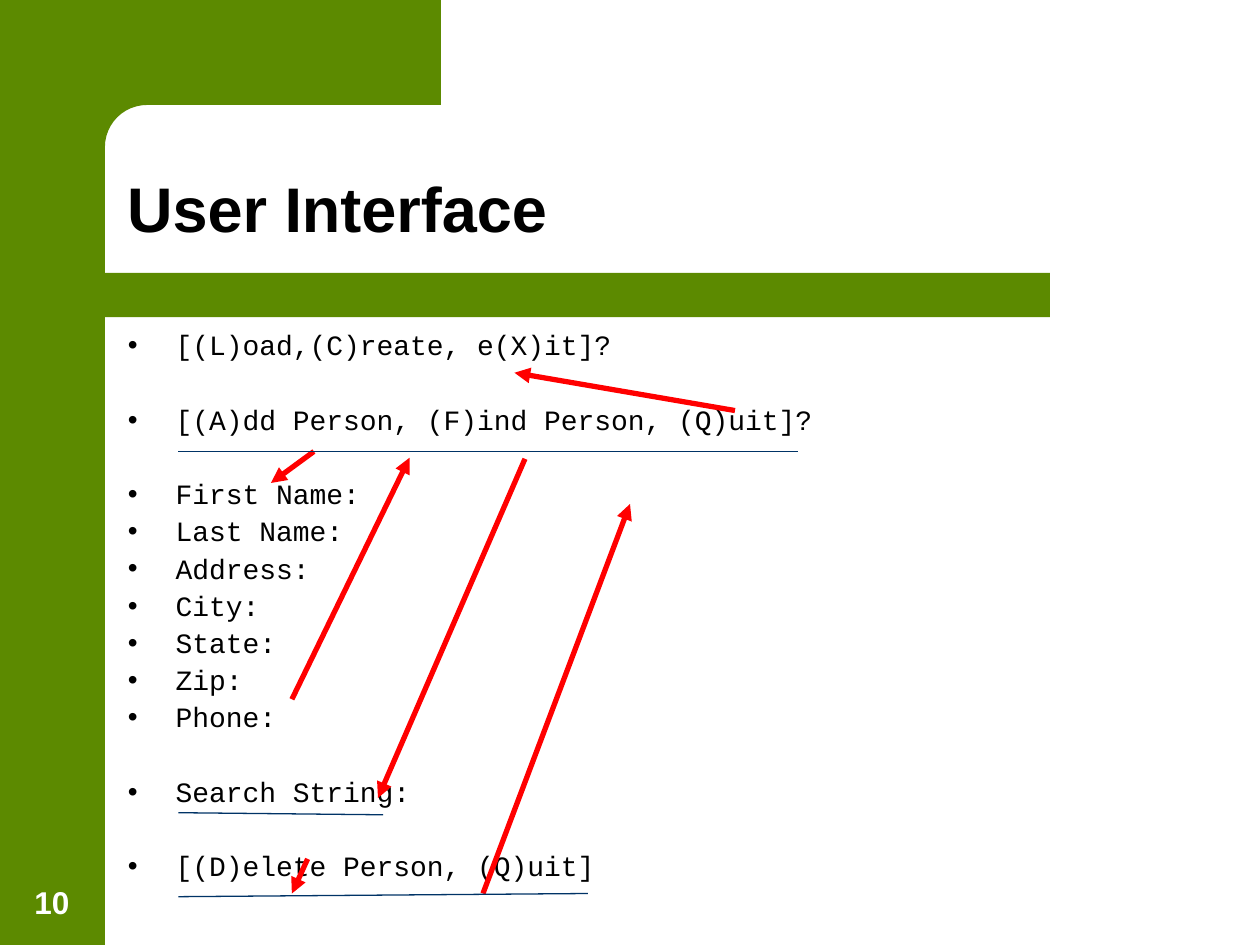
from math import cos, pi, sin

from lxml.etree import SubElement
from pptx import Presentation
from pptx.dml.color import RGBColor
from pptx.enum.shapes import MSO_CONNECTOR, MSO_SHAPE
from pptx.enum.text import MSO_ANCHOR, MSO_AUTO_SIZE, PP_ALIGN
from pptx.oxml.ns import qn
from pptx.util import Inches, Pt

COLORS = {"green": "5C8A00", "black": "000000", "white": "FFFFFF",
          "red": "FF0000", "navy": "003366"}
CELL = Inches(1) / 12  # the slide is a grid of 120 columns by 90 rows


def grid(*cells):
    return [round(c * CELL) for c in cells]


def style(r, size, color, font="Arial", bold=False):
    r.font.name, r.font.size, r.font.bold = font, Pt(size), bold
    r.font.color.rgb = RGBColor.from_string(COLORS[color])


prs = Presentation()
prs.slide_width, prs.slide_height = grid(120, 90)
s = prs.slides.add_slide(prs.slide_layouts[5])

# Green frame: sidebar, title bar, and top block with a rounded inner corner
bands = [s.shapes.add_shape(MSO_SHAPE.RECTANGLE, *grid(*box))
         for box in [(0, 0, 10, 90), (8, 26, 92, 4.2)]]
radius, steps = 4, 12
arc = [(10 + radius * (1 - cos(a)), 10 + radius * (1 - sin(a)))
       for a in (pi / 2 * (1 - i / steps) for i in range(steps + 1))]
outline = [grid(*point) for point in [(42, 0), (42, 10), *arc, (6, 14), (6, 0)]]
builder = s.shapes.build_freeform(*outline[0])
builder.add_line_segments(outline[1:], close=True)
for sp in [*bands, builder.convert_to_shape()]:
    sp.shadow.inherit = False
    sp.fill.solid()
    sp.fill.fore_color.rgb = RGBColor.from_string(COLORS["green"])
    sp.line.fill.background()

# Title
title = s.shapes.title
title.left, title.top, title.width, title.height = grid(10.9, 10.9, 102.1, 13.1)
tf = title.text_frame
tf.auto_size = MSO_AUTO_SIZE.NONE
tf.vertical_anchor = MSO_ANCHOR.BOTTOM
p = tf.paragraphs[0]
p.alignment, p.line_spacing = PP_ALIGN.LEFT, 0.9
r = p.add_run()
r.text = "User Interface"
style(r, 36, "black", bold=True)

# Prompts, in groups set apart by one line
groups = [
    ["[(L)oad,(C)reate, e(X)it]?"],
    ["[(A)dd Person, (F)ind Person, (Q)uit]?"],
    ["First Name:", "Last Name:", "Address:", "City:", "State:", "Zip:", "Phone:"],
    ["Search String:"],
    ["[(D)elete Person, (Q)uit]"],
]
LINE_GAP, GROUP_GAP = 4, 25.25
tf = s.shapes.add_textbox(*grid(11, 31, 101, 58)).text_frame
tf.word_wrap = True
p = tf.paragraphs[0]
for g, group in enumerate(groups):
    for i, prompt in enumerate(group):
        if g or i:
            p = tf.add_paragraph()
        p.line_spacing = 0.9
        p.space_before = Pt(GROUP_GAP if g and i == 0 else LINE_GAP)
        pPr = p._p.get_or_add_pPr()
        pPr.set("marL", str(Inches(0.38)))
        pPr.set("indent", str(-Inches(0.38)))
        SubElement(pPr, qn("a:buFont")).set("typeface", "Arial")
        SubElement(pPr, qn("a:buChar")).set("char", "•")
        r = p.add_run()
        r.text = prompt
        style(r, 16, "black", "Courier New")

# Slide number
tf = s.shapes.add_textbox(*grid(1.1, 82, 7.7, 6.3)).text_frame
tf.word_wrap = True
tf.vertical_anchor = MSO_ANCHOR.BOTTOM
p = tf.paragraphs[0]
p.alignment = PP_ALIGN.CENTER
r = p.add_run()
r.text = "10"
style(r, 18, "white", bold=True)

# Arrows between menus, and rules under the prompts: x1, y1, x2, y2
arrows = [(29.9, 43, 25.8, 46), (50, 43.7, 36, 76), (29.3, 81.8, 27.8, 85.1),
          (46, 85.1, 60, 48), (27.8, 66.6, 39, 43.6), (70, 39.1, 49, 35.5)]
rules = [(17, 43, 76, 43), (17, 85.4, 56, 85.1), (17, 77.4, 36.5, 77.6)]
for ends, color, width, head in [(arrows, "red", 3, True), (rules, "navy", 0.75, False)]:
    for end in ends:
        line = s.shapes.add_connector(MSO_CONNECTOR.STRAIGHT, *grid(*end))
        line.line.color.rgb = RGBColor.from_string(COLORS[color])
        line.line.width = Pt(width)
        if head:
            SubElement(line.line._get_or_add_ln(), qn("a:tailEnd")).set("type", "triangle")
        SubElement(line._element.spPr, qn("a:effectLst"))

prs.save("out.pptx")
